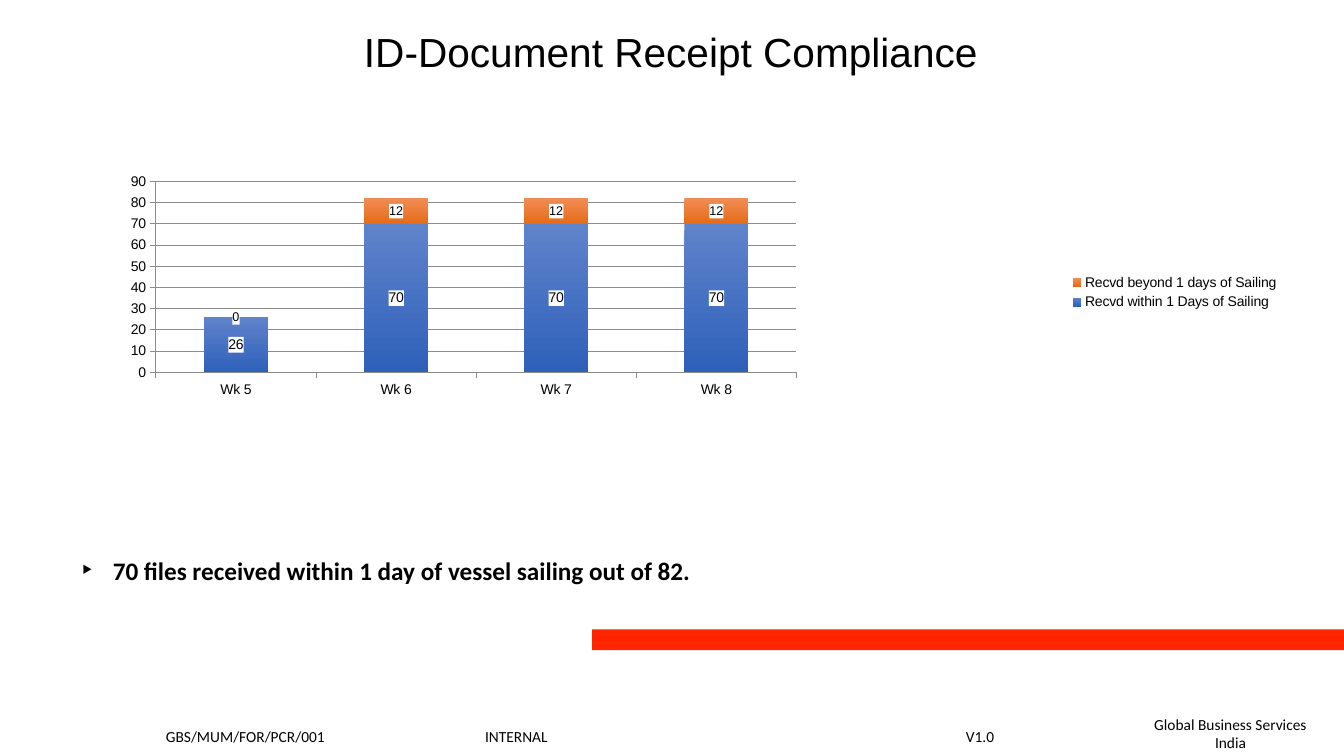
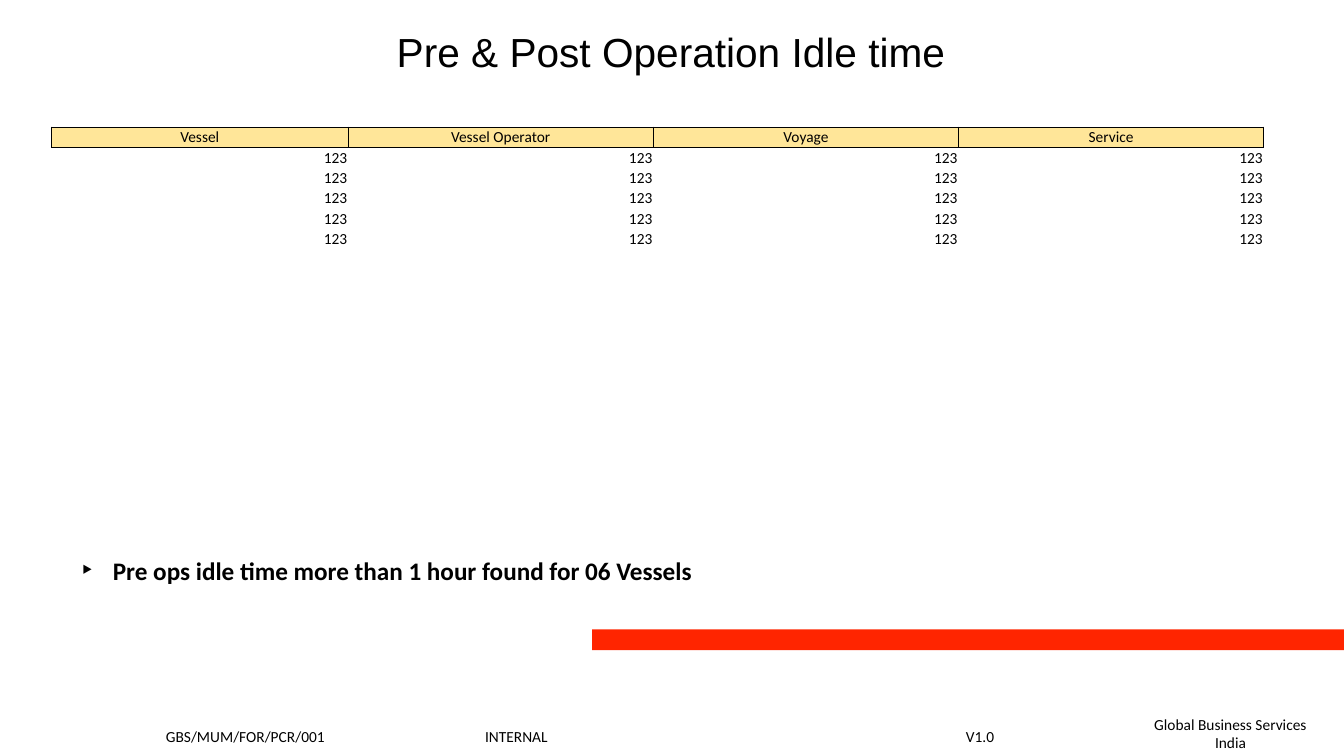
from dataclasses import dataclass

from lxml.etree import SubElement
from pptx import Presentation
from pptx.chart.data import CategoryChartData
from pptx.dml.color import RGBColor
from pptx.enum.chart import XL_CHART_TYPE, XL_LEGEND_POSITION, XL_TICK_MARK
from pptx.enum.shapes import MSO_SHAPE
from pptx.enum.text import MSO_ANCHOR, PP_ALIGN
from pptx.oxml import parse_xml
from pptx.oxml.ns import nsdecls, qn
from pptx.util import Pt


@dataclass(frozen=True)
class Theme:
    ink: str = "000000"
    paper: str = "FFFFFF"
    band: str = "FF2500"
    header: str = "FFE699"
    axis: str = "8B8B8B"
    series: tuple = (("6083CB", "2E61BA"), ("F18C55", "E56B17"))
    heading_font: str = "Arial"
    body_font: str = "Calibri"
    title_size: float = 29
    note_size: float = 18
    small_size: float = 11
    chart_size: float = 10
    label_sizes: tuple = (10, 9)


class ReportDeck:
    no_table_style = "{2D5ABB26-0587-4C30-8999-92F81FD0307C}"

    def __init__(self, theme):
        self.theme = theme
        self.deck = Presentation()
        self.deck.slide_width = Pt(960)
        self.deck.slide_height = Pt(540)
        self.page = None

    def add_page(self, title):
        self.page = self.deck.slides.add_slide(self.deck.slide_layouts[6])
        self.add_band()
        self.add_footer()
        self.add_title(title)

    def format_text(self, frame, size, font=None, bold=False, align=None):
        for para in frame.paragraphs:
            para.alignment = align
            for span in para.runs:
                span.font.name = font or self.theme.body_font
                span.font.size = Pt(size)
                span.font.bold = bold
                span.font.color.rgb = RGBColor.from_string(self.theme.ink)

    def add_rectangle(self, left, top, width, height, color):
        box = self.page.shapes.add_shape(
            MSO_SHAPE.RECTANGLE, Pt(left), Pt(top), Pt(width), Pt(height))
        box.shadow.inherit = False
        box.fill.solid()
        box.fill.fore_color.rgb = RGBColor.from_string(color)
        box.line.fill.background()
        return box

    def add_text(self, text, left, top, width, height):
        box = self.page.shapes.add_textbox(Pt(left), Pt(top), Pt(width), Pt(height))
        frame = box.text_frame
        frame.word_wrap = True
        frame.text = text
        return frame

    def add_band(self):
        self.add_rectangle(423, 449.5, 537, 15, self.theme.band)

    def add_footer(self):
        size = self.theme.small_size
        unit = self.add_text("Global Business Services\nIndia", 807, 507, 144, 34)
        self.format_text(unit, size, align=PP_ALIGN.CENTER)
        frame = self.add_text(
            "\t".join(("GBS/MUM/FOR/PCR/001", "INTERNAL", "V1.0")), 118.5, 515.5, 628, 16.5)
        frame.margin_left = 0
        properties = frame.paragraphs[0]._p.get_or_add_pPr()
        stops = SubElement(properties, qn("a:tabLst"))
        for position in (228, 571.5):
            SubElement(stops, qn("a:tab"), pos=str(Pt(position)), algn="l")
        self.format_text(frame, size)

    def add_title(self, title):
        box = self.add_rectangle(66, 19, 827, 36, self.theme.paper)
        frame = box.text_frame
        frame.vertical_anchor = MSO_ANCHOR.MIDDLE
        frame.text = title
        self.format_text(
            frame, self.theme.title_size, self.theme.heading_font, align=PP_ALIGN.CENTER)

    def add_note(self, text):
        frame = self.add_text(text, 51, 393, 847, 29)
        properties = frame.paragraphs[0]._p.get_or_add_pPr()
        properties.set("marL", str(Pt(22.5)))
        properties.set("indent", str(Pt(-22.5)))
        color = SubElement(properties, qn("a:buClr"))
        SubElement(color, qn("a:srgbClr"), val=self.theme.ink)
        SubElement(properties, qn("a:buSzPct"), val="125000")
        SubElement(properties, qn("a:buFont"), typeface=self.theme.heading_font)
        SubElement(properties, qn("a:buChar"), char="‣")
        self.format_text(frame, self.theme.note_size, bold=True)

    def add_stacked_chart(self, categories, series):
        data = CategoryChartData()
        data.categories = categories
        for name, values in series:
            data.add_series(name, values)
        chart = self.page.shapes.add_chart(
            XL_CHART_TYPE.COLUMN_STACKED, Pt(41), Pt(124), Pt(880), Pt(169), data).chart
        self.format_chart_font(chart.font, self.theme.chart_size)
        chart.has_title = False
        chart.has_legend = True
        chart.legend.position = XL_LEGEND_POSITION.RIGHT
        chart.legend.include_in_layout = False
        for axis in (chart.category_axis, chart.value_axis):
            axis.major_tick_mark = XL_TICK_MARK.OUTSIDE
            self.format_axis_line(axis.format.line)
        chart.value_axis.maximum_scale = 90
        chart.value_axis.major_unit = 10
        chart.value_axis.has_major_gridlines = True
        self.format_axis_line(chart.value_axis.major_gridlines.format.line)
        plot = chart.plots[0]
        plot.gap_width = 150
        plot.overlap = 100
        plot.vary_by_categories = False
        for column, colors, size in zip(
                plot.series, self.theme.series, self.theme.label_sizes):
            self.format_column(column, colors, size)
        self.place_plot(chart, x=0.08, y=0.03, w=0.52, h=0.81)

    def format_chart_font(self, font, size):
        font.name = self.theme.heading_font
        font.size = Pt(size)
        font.color.rgb = RGBColor.from_string(self.theme.ink)

    def format_axis_line(self, line):
        line.color.rgb = RGBColor.from_string(self.theme.axis)
        line.width = Pt(0.75)

    def format_column(self, column, colors, label_size):
        fill = column.format.fill
        fill.gradient()
        fill.gradient_angle = 270
        for stop, color in zip(fill.gradient_stops, colors):
            stop.color.rgb = RGBColor.from_string(color)
        labels = column.data_labels
        labels.show_value = True
        self.format_chart_font(labels.font, label_size)
        background = parse_xml(
            f'<c:spPr {nsdecls("c", "a")}><a:solidFill>'
            f'<a:srgbClr val="{self.theme.paper}"/></a:solidFill></c:spPr>')
        labels._element.find(qn("c:txPr")).addprevious(background)

    def place_plot(self, chart, **position):
        area = chart._chartSpace.chart.plotArea
        for old in area.findall(qn("c:layout")):
            area.remove(old)
        values = "".join(f'<c:{key} val="{value}"/>' for key, value in position.items())
        area.insert(0, parse_xml(
            f'<c:layout {nsdecls("c")}><c:manualLayout><c:layoutTarget val="inner"/>'
            f'<c:xMode val="edge"/><c:yMode val="edge"/>{values}'
            '</c:manualLayout></c:layout>'))

    def add_table(self, rows, widths):
        row_height = 14.5
        table = self.page.shapes.add_table(
            len(rows), len(widths), Pt(36.75), Pt(90.75),
            Pt(sum(widths)), Pt(row_height * len(rows))).table
        table._tbl.tblPr.find(qn("a:tableStyleId")).text = self.no_table_style
        table.first_row = False
        table.horz_banding = False
        for column, width in zip(table.columns, widths):
            column.width = Pt(width)
        for row_index, values in enumerate(rows):
            table.rows[row_index].height = Pt(row_height)
            for column_index, value in enumerate(values):
                self.fill_cell(table.cell(row_index, column_index), value, row_index == 0)

    def fill_cell(self, cell, value, is_header):
        cell.text = value
        cell.margin_left = cell.margin_right = cell.margin_top = Pt(0.7)
        cell.margin_bottom = 0
        if is_header:
            cell.vertical_anchor = MSO_ANCHOR.MIDDLE
            self.add_borders(cell)
            cell.fill.solid()
            cell.fill.fore_color.rgb = RGBColor.from_string(self.theme.header)
        else:
            cell.vertical_anchor = MSO_ANCHOR.BOTTOM
            cell.fill.background()
        align = PP_ALIGN.CENTER if is_header else PP_ALIGN.RIGHT
        self.format_text(cell.text_frame, self.theme.small_size, align=align)

    def add_borders(self, cell):
        properties = cell._tc.get_or_add_tcPr()
        for side in ("lnL", "lnR", "lnT", "lnB"):
            line = SubElement(properties, qn(f"a:{side}"), w=str(Pt(0.5)))
            fill = SubElement(line, qn("a:solidFill"))
            SubElement(fill, qn("a:srgbClr"), val=self.theme.ink)


def main():
    report = ReportDeck(Theme())

    report.add_page("ID-Document Receipt Compliance")
    report.add_stacked_chart(
        ("Wk 5", "Wk 6", "Wk 7", "Wk 8"),
        (("Recvd within 1 Days of Sailing", (26, 70, 70, 70)),
         ("Recvd beyond 1 days of Sailing", (0, 12, 12, 12))))
    report.add_note("70 files received within 1 day of vessel sailing out of 82.")

    report.add_page("Pre & Post Operation Idle time")
    header = ("Vessel", "Vessel Operator", "Voyage", "Service")
    report.add_table([header] + [("123",) * len(header)] * 5, (212, 218, 218, 218))
    report.add_note("Pre ops idle time more than 1 hour found for 06 Vessels")

    report.deck.save("out.pptx")


if __name__ == "__main__":
    main()
